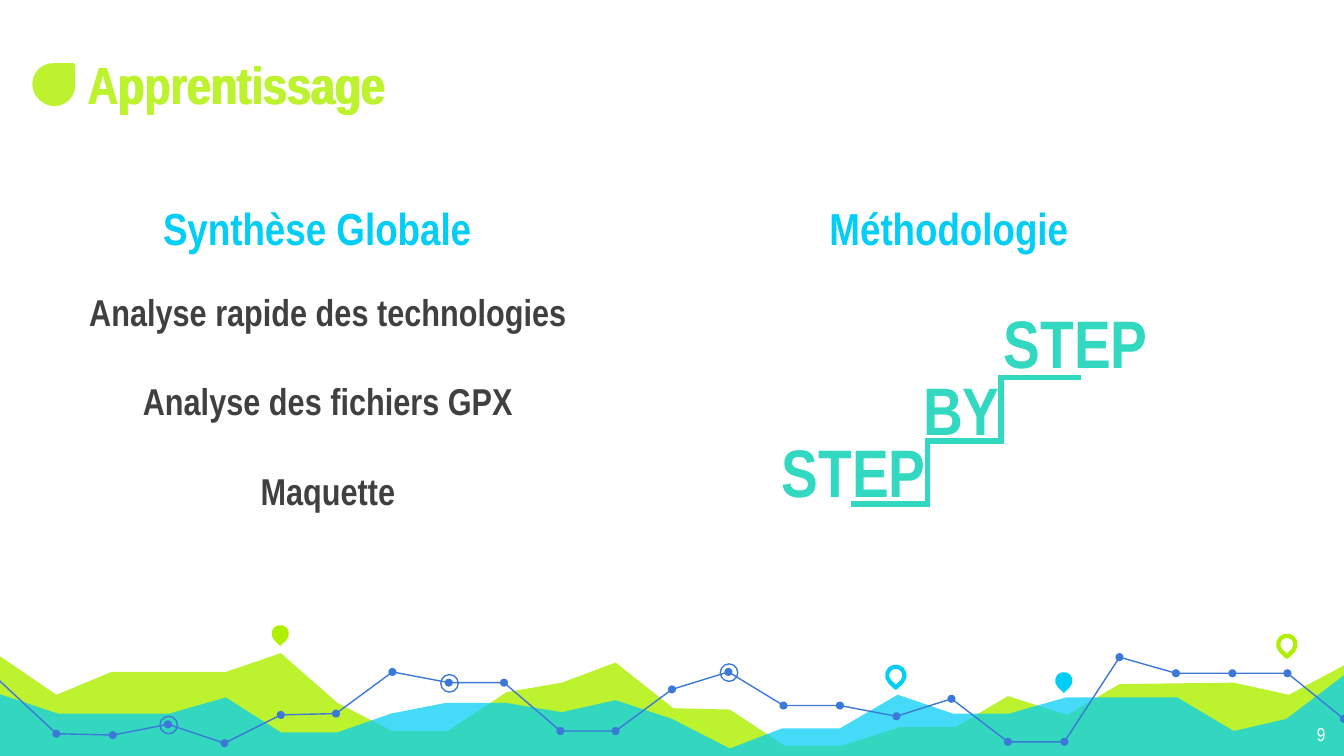
from dataclasses import dataclass
from typing import Optional

from lxml.etree import SubElement
from pptx import Presentation
from pptx.dml.color import RGBColor as RGB
from pptx.enum.shapes import MSO_CONNECTOR as CONN, MSO_SHAPE as SHAPE
from pptx.enum.text import MSO_ANCHOR as ANCHOR, MSO_AUTO_SIZE as AUTO, PP_ALIGN as AL
from pptx.oxml.ns import qn
from pptx.util import Emu, Pt

PX = 9144  # 100 px to the inch


@dataclass(frozen=True)
class Theme:
    font: str = "Arial Narrow"
    lime: str = "AFF000"
    title: str = "BDF32E"
    cyan: str = "00CEF6"
    teal: str = "32D8C0"
    blue: str = "3C78D8"
    dark: str = "404040"
    white: str = "FFFFFF"
    number_pt: int = 10
    body_pt: int = 20
    heading_pt: int = 24
    title_pt: int = 28
    step_pt: int = 36


T = Theme()


@dataclass(frozen=True)
class Box:
    x: int
    y: int
    w: int
    h: int

    def emu(self) -> list[Emu]:
        return [Emu(v * PX) for v in (self.x, self.y, self.w, self.h)]


@dataclass(frozen=True)
class Label:
    text: str
    box: Box
    size: int
    color: str
    align: AL = AL.LEFT
    bold: bool = True


@dataclass(frozen=True)
class Area:
    color: str
    opacity: int
    points: tuple


@dataclass(frozen=True)
class Pin:
    x: int
    y: int
    color: str
    solid: bool


AREAS = (
    Area(T.lime, 82, (
        (-2, 487), (42, 517), (83, 500), (168, 500), (209, 486), (251, 523), (292, 544),
        (333, 544), (377, 515), (418, 508), (458, 493), (501, 527), (543, 528), (584, 555),
        (626, 555), (670, 541), (711, 541), (750, 518), (794, 532), (833, 509), (918, 508),
        (959, 517), (1002, 494), (1001, 564), (-3, 564))),
    Area(T.cyan, 73, (
        (-2, 516), (43, 531), (126, 531), (168, 519), (209, 545), (251, 545), (291, 531),
        (332, 523), (376, 523), (418, 530), (458, 521), (500, 535), (543, 557), (582, 542),
        (625, 542), (668, 517), (709, 531), (751, 531), (793, 519), (876, 519), (918, 544),
        (957, 535), (1002, 501), (1002, 565), (-3, 565))),
)
PINS = (
    Pin(202, 465, T.lime, True),
    Pin(660, 496, T.cyan, False),
    Pin(785, 500, T.cyan, True),
    Pin(951, 473, T.lime, False),
)
LEVELS = (546, 547, 539, 553, 532, 531, 500, 508, 508, 544, 544, 513,
          500, 525, 525, 533, 520, 552, 552, 489, 501, 501, 501, 535)
DOTS = [(round(42 + 41.65 * i), y) for i, y in enumerate(LEVELS)]
TRACK = [(-1, 506), *DOTS]
TRACK_PARTS = ((0, 11), (11, 20), (20, 24))
RINGED = (2, 7, 12)

TITLE = Label("Apprentissage", Box(56, 29, 476, 59), T.title_pt, T.title)
TITLE_ECHO = Label(TITLE.text, Box(55, 29, 476, 59), T.title_pt, T.title)
TOPICS = ("Analyse rapide des technologies", "Analyse des fichiers GPX", "Maquette")
LABELS = (
    Label("Synthèse Globale", Box(34, 139, 404, 64), T.heading_pt, T.cyan, AL.CENTER),
    Label("Méthodologie", Box(504, 139, 404, 64), T.heading_pt, T.cyan, AL.CENTER),
    Label("STEP", Box(572, 310, 133, 77), T.step_pt, T.teal),
    Label("BY", Box(677, 264, 84, 58), T.step_pt, T.teal),
    Label("STEP", Box(737, 214, 133, 59), T.step_pt, T.teal),
    Label("9", Box(936, 528, 60, 35), T.number_pt, T.white, AL.RIGHT, False),
    TITLE_ECHO,
)
STAIRS = (
    (633, 375, 691, 375),
    (690, 377, 690, 326),
    (689, 328, 747, 328),
    (745, 330, 745, 279),
    (745, 281, 804, 281),
)


def paint(shape, fill: Optional[str] = None, line: Optional[str] = None, width: float = 0.75) -> None:
    shape.shadow.inherit = False
    if fill:
        shape.fill.solid()
        shape.fill.fore_color.rgb = RGB.from_string(fill)
    else:
        shape.fill.background()
    if line:
        shape.line.color.rgb = RGB.from_string(line)
        shape.line.width = Pt(width)
    else:
        shape.line.fill.background()


def add_path(s, points, closed: bool):
    builder = s.shapes.build_freeform(*points[0], scale=PX)
    builder.add_line_segments(points[1:], close=closed)
    return builder.convert_to_shape()


def add_area(s, area: Area) -> None:
    shape = add_path(s, area.points, True)
    paint(shape, fill=area.color)
    color = shape._element.spPr.find(qn("a:solidFill"))[0]
    SubElement(color, qn("a:alpha"), val=str(area.opacity * 1000))


def add_pin(s, pin: Pin) -> None:
    shape = s.shapes.add_shape(SHAPE.TEAR, *Box(pin.x, pin.y, 13, 13).emu())
    shape.rotation = 135
    if pin.solid:
        paint(shape, fill=pin.color)
    else:
        paint(shape, line=pin.color, width=2.25)


def add_circle(s, center: tuple, size: int, **colors) -> None:
    x, y = center
    box = Box(x - size // 2, y - size // 2, size, size)
    paint(s.shapes.add_shape(SHAPE.OVAL, *box.emu()), **colors)


def add_stair(s, ends: tuple) -> None:
    line = s.shapes.add_connector(CONN.STRAIGHT, *(Emu(v * PX) for v in ends))
    line.line.color.rgb = RGB.from_string(T.teal)
    line.line.width = Pt(3)
    SubElement(line._element.spPr, qn("a:effectLst"))


def set_text(sp, label: Label, gap: int = 0) -> None:
    """Place a text shape and give it one formatted paragraph per line."""
    for name, value in zip(("left", "top", "width", "height"), label.box.emu()):
        setattr(sp, name, value)
    tf = sp.text_frame
    inset = Emu(10 * PX)
    frame = dict(word_wrap=True, auto_size=AUTO.NONE, vertical_anchor=ANCHOR.TOP,
                 margin_left=inset, margin_right=inset, margin_top=inset, margin_bottom=inset)
    for name, value in frame.items():
        setattr(tf, name, value)
    tf.text = label.text
    for i, p in enumerate(tf.paragraphs):
        p.alignment = label.align
        p.space_before = Pt(gap if i else 0)
        for r in p.runs:
            for name, value in dict(name=T.font, size=Pt(label.size), bold=label.bold).items():
                setattr(r.font, name, value)
            r.font.color.rgb = RGB.from_string(label.color)


def add_topics(body) -> None:
    set_text(body, Label("\n".join(TOPICS), Box(48, 205, 392, 253), T.body_pt, T.dark, AL.CENTER), gap=24)
    for p in body.text_frame.paragraphs:
        pPr = p._p.get_or_add_pPr()
        pPr.set("marL", "0")
        pPr.set("indent", "0")
        SubElement(pPr, qn("a:buNone"))


def main() -> None:
    prs = Presentation()
    prs.slide_width, prs.slide_height = Pt(720), Pt(405)
    s = prs.slides.add_slide(prs.slide_layouts[1])
    set_text(s.shapes.title, TITLE)
    add_topics(s.placeholders[1])

    for area in AREAS:
        add_area(s, area)
    for pin in PINS:
        add_pin(s, pin)
    for first, last in TRACK_PARTS:
        paint(add_path(s, TRACK[first:last + 1], False), line=T.blue)
    for dot in DOTS:
        add_circle(s, dot, 6, fill=T.blue)
    for i in RINGED:
        add_circle(s, DOTS[i], 13, line=T.blue)

    for label in LABELS:
        set_text(s.shapes.add_textbox(*label.box.emu()), label)
    for ends in STAIRS:
        add_stair(s, ends)
    for title, y in ((TITLE, 48), (TITLE_ECHO, 47)):
        drop = s.shapes.add_shape(SHAPE.TEAR, *Box(title.box.x - 31, y, 31, 31).emu())
        paint(drop, fill=T.title)
    prs.save("out.pptx")


if __name__ == "__main__":
    main()
